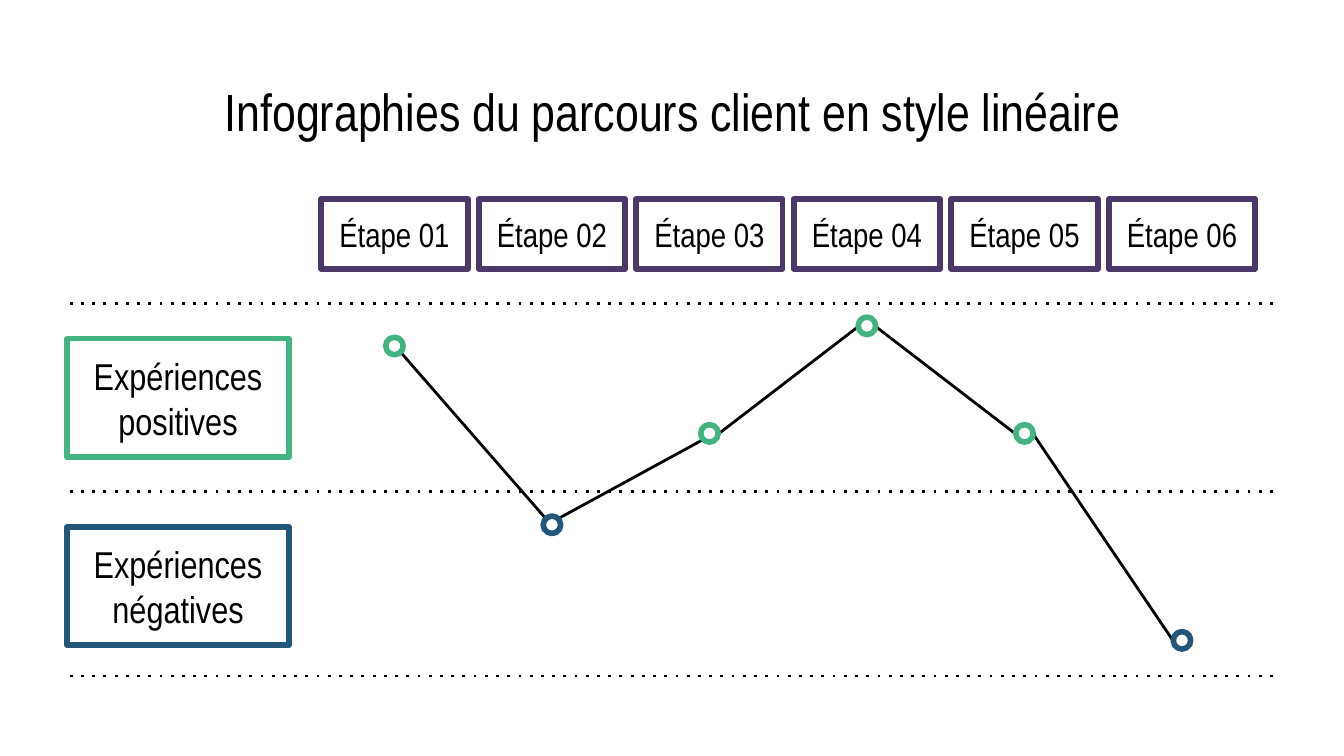
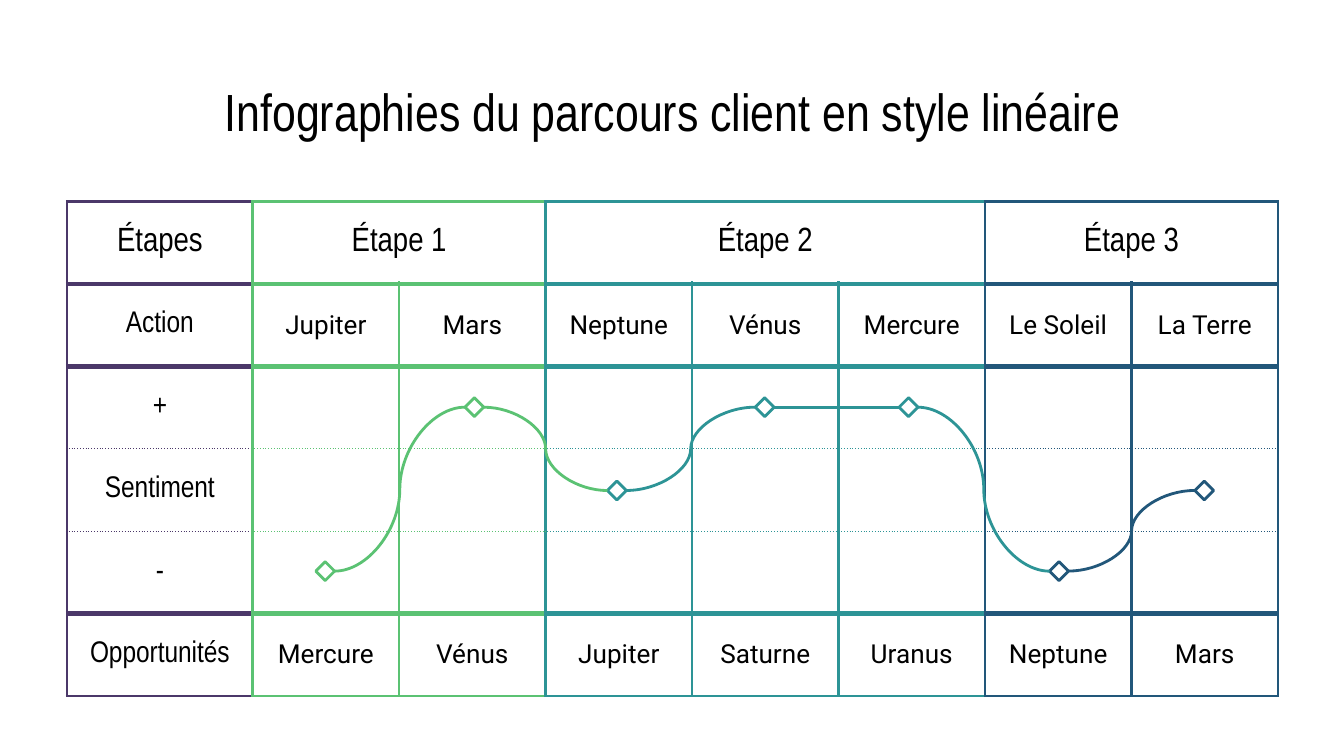
from lxml.etree import SubElement as sub
from pptx import Presentation
from pptx.dml.color import RGBColor as RGB
from pptx.enum.shapes import MSO_CONNECTOR as CONN, MSO_SHAPE as SHAPE
from pptx.enum.text import MSO_ANCHOR as ANCHOR, MSO_AUTO_SIZE as AUTO, PP_ALIGN as ALIGN
from pptx.oxml.ns import qn
from pptx.util import Inches, Pt

BLACK, PLUM, MINT = "000000", "4B3869", "43B382"
LEAF, TEAL, NAVY = "5BC273", "2D9496", "22577A"
NARROW, BODY = "Arial Narrow", "Roboto"
TITLE = "Infographies du parcours client en style linéaire"
WIDE = Inches(10)
PAD = Inches(0.1)
INSET = {"margin_left": PAD, "margin_top": PAD, "margin_right": PAD,
         "margin_bottom": PAD, "vertical_anchor": ANCHOR.MIDDLE}
WRAP = {"word_wrap": True, "auto_size": AUTO.NONE}

STEP = 5.86 / 5
DOT = 0.13
DOTS = [(2.51, MINT), (3.84, NAVY), (3.16, MINT),
        (2.36, MINT), (3.16, MINT), (4.7, NAVY)]
SIDES = {"nw": (0.02, 0.02), "ne": (0.11, 0.02), "sw": (0.02, 0.11),
         "se": (0.11, 0.11), "w": (0, 0.07), "e": (DOT, 0.07)}
LINKS = [("se", "nw"), ("ne", "sw"), ("e", "w"), ("e", "w"), ("e", "w")]

TINTS = [PLUM, LEAF, LEAF, TEAL, TEAL, TEAL, NAVY, NAVY]
RULES = [1.5, 3, 3, 0.75, 0.75, 3, 1.5]
SPANS = [(1, 2), (3, 5), (6, 7)]
ROWS = [
    ["Étapes", "Étape 1", "", "Étape 2", "", "", "Étape 3", ""],
    ["Action", "Jupiter", "Mars", "Neptune", "Vénus", "Mercure", "Le Soleil", "La Terre"],
    ["+"],
    ["Sentiment"],
    ["-"],
    ["Opportunités", "Mercure", "Vénus", "Jupiter", "Saturne", "Uranus", "Neptune", "Mars"],
]
GEM = 0.14
GEMS = [(2.35, 4.18), (3.46, 2.96), (4.52, 3.58), (5.62, 2.96),
        (6.69, 2.96), (7.81, 4.18), (8.89, 3.58)]
GEM_TINTS = [LEAF, LEAF, TEAL, TEAL, TEAL, NAVY, NAVY]


def ink(tint):
    """Turn a hex string into a colour."""
    return RGB.from_string(tint)


def put(item, marks):
    """Set each format value on an item."""
    for name, value in marks.items():
        setattr(item, name, value)


def write(frame, text, size, face=NARROW):
    """Write one centred black paragraph."""
    para = frame.paragraphs[0]
    para.alignment = ALIGN.CENTER
    run = para.add_run()
    run.text = text
    put(run.font, {"size": Pt(size), "name": face, "bold": False})
    run.font.color.rgb = ink(BLACK)


def stroke(item, tint, width):
    """Colour and size the line of an item."""
    item.line.color.rgb = ink(tint)
    item.line.width = Pt(width)


def draw(slide, kind, box, tint, width=3, text="", size=18):
    """Add an outlined shape, with text if given."""
    form = slide.shapes.add_shape(kind, *map(Inches, box))
    form.shadow.inherit = False
    form.fill.background()
    stroke(form, tint, width)
    if text:
        put(form.text_frame, INSET | WRAP)
        write(form.text_frame, text, size)
    return form


def link(slide, start, end, tint=BLACK, kind=CONN.STRAIGHT, dash=False):
    """Add a connector without a shadow."""
    line = slide.shapes.add_connector(kind, *map(Inches, start + end))
    stroke(line, tint, 1.5)
    props = line._element.spPr
    if dash:
        sub(props.find(qn("a:ln")), qn("a:prstDash"), val="dot")
    sub(props, qn("a:effectLst"))
    return line


def page(deck):
    """Add a slide with the shared title."""
    slide = deck.slides.add_slide(deck.slide_layouts[5])
    head = slide.shapes.title
    put(head, {"left": Inches(0.5), "top": Inches(0.49),
               "width": Inches(9), "height": Inches(0.63)})
    put(head.text_frame, INSET | WRAP | {"vertical_anchor": ANCHOR.TOP})
    write(head.text_frame, TITLE, 28)
    return slide


def edge(cell, side, tint, width):
    """Draw one border of a cell, dotted when thin."""
    line = sub(cell._tc.get_or_add_tcPr(), qn("a:ln" + side), w=str(Pt(width)))
    sub(sub(line, qn("a:solidFill")), qn("a:srgbClr"), val=tint)
    sub(line, qn("a:prstDash"), val="dot" if width < 1 else "solid")


def grid(slide):
    """Add the table of stages."""
    box = map(Inches, (0.5, 1.5, 9.01, 3.68))
    table = slide.shapes.add_table(len(ROWS), len(TINTS), *box).table
    put(table, {"first_row": False, "horz_banding": False})
    for col, part in enumerate(table.columns):
        part.width = Inches(1.09 if col else 1.38)
    for first, last in SPANS:
        table.cell(0, first).merge(table.cell(0, last))
    for row, texts in enumerate(ROWS):
        for col, tint in enumerate(TINTS):
            cell = table.cell(row, col)
            put(cell, INSET)
            after = col + (cell.span_width if cell.is_merge_origin else 1)
            edge(cell, "L", tint, 1.5)
            edge(cell, "R", (TINTS + [NAVY])[after], 1.5)
            edge(cell, "T", tint, RULES[row])
            edge(cell, "B", tint, RULES[row + 1])
            cell.fill.background()
            text = texts[col] if col < len(texts) else ""
            if text:
                size = 18 if row == 0 else 14 if col else 16
                write(cell.text_frame, text, size, BODY if size == 14 else NARROW)


def trail(slide):
    """Draw the line of good and bad moments."""
    spots = [(2.87 + STEP * i, top) for i, (top, _) in enumerate(DOTS)]
    for (out, into), a, b in zip(LINKS, spots, spots[1:]):
        ends = [(x + SIDES[side][0], y + SIDES[side][1])
                for (x, y), side in ((a, out), (b, into))]
        link(slide, *ends)
    for spot, (_, tint) in zip(spots, DOTS):
        draw(slide, SHAPE.OVAL, spot + (DOT, DOT), tint)


def wave(slide):
    """Draw the curve of mood over the table."""
    gems = [draw(slide, SHAPE.DIAMOND, spot + (GEM, GEM), tint, 1.5)
            for spot, tint in zip(GEMS, GEM_TINTS)]
    half = GEM / 2
    for i, tint in enumerate(GEM_TINTS[:-1]):
        (x, y), (far, low) = GEMS[i:i + 2]
        curve = link(slide, (x + GEM, y + half), (far, low + half), tint, CONN.CURVE)
        curve.begin_connect(gems[i], 3)
        curve.end_connect(gems[i + 1], 1)


def main():
    """Build both slides and save them."""
    deck = Presentation()
    put(deck, {"slide_width": WIDE, "slide_height": WIDE * 9 // 16})

    slide = page(deck)
    for i in range(6):
        box = (2.39 + STEP * i, 1.48, 1.09, 0.52)
        draw(slide, SHAPE.RECTANGLE, box, PLUM, text=f"Étape {i + 1:02}")
    for top, tint, mood in ((2.52, MINT, "positives"), (3.92, NAVY, "négatives")):
        draw(slide, SHAPE.RECTANGLE, (0.5, top, 1.65, 0.88), tint,
             text=f"Expériences {mood}", size=20)
    for y in (2.26, 3.66, 5.03):
        link(slide, (0.52, y), (9.51, y), dash=True)
    trail(slide)

    slide = page(deck)
    grid(slide)
    wave(slide)
    deck.save("out.pptx")


if __name__ == "__main__":
    main()
